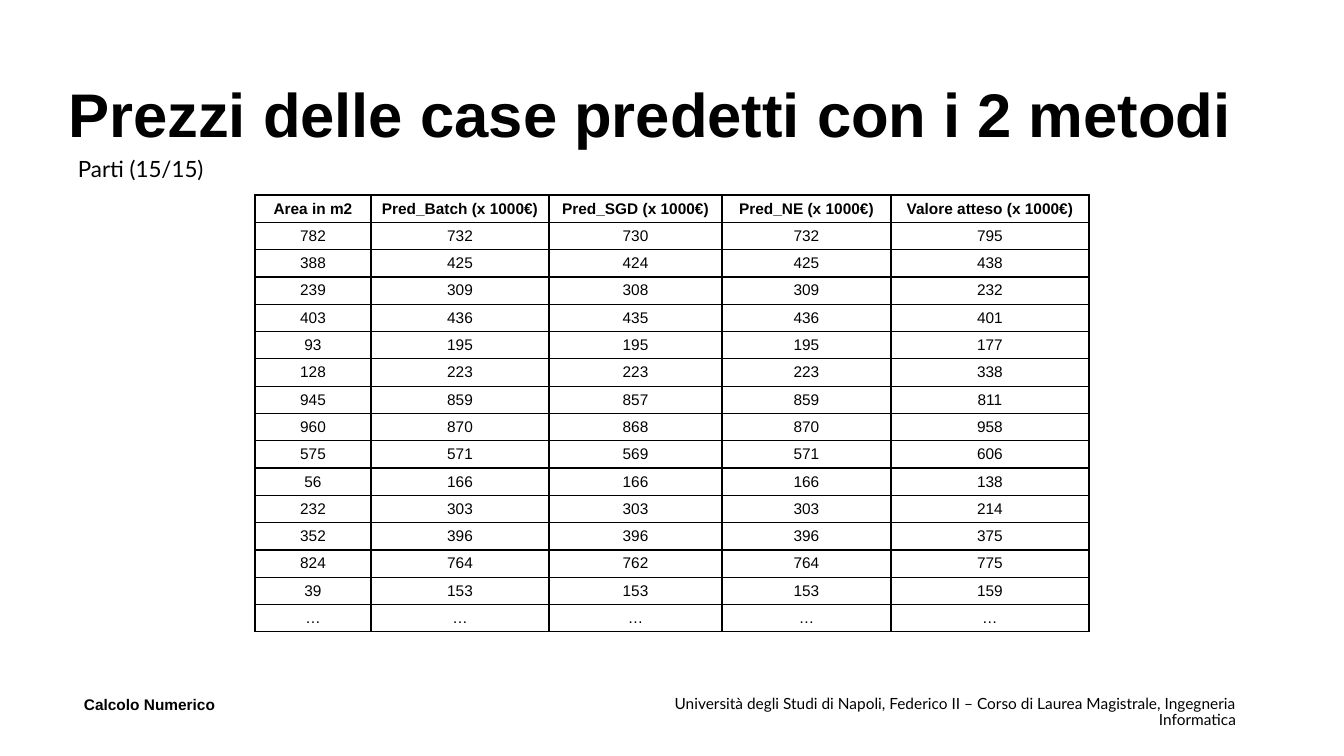
from lxml import etree
from pptx import Presentation
from pptx import util as u
from pptx.dml.color import RGBColor
from pptx.enum import text
from pptx.oxml.ns import qn

SCALE = 9144000 / 1008  # EMU in one px
TITLE_ONLY = 5

HEADERS = ["Area in m2", "Pred_Batch (x 1000€)", "Pred_SGD (x 1000€)",
           "Pred_NE (x 1000€)", "Valore atteso (x 1000€)"]
PRICES = [
    (782, 732, 730, 732, 795),
    (388, 425, 424, 425, 438),
    (239, 309, 308, 309, 232),
    (403, 436, 435, 436, 401),
    (93, 195, 195, 195, 177),
    (128, 223, 223, 223, 338),
    (945, 859, 857, 859, 811),
    (960, 870, 868, 870, 958),
    (575, 571, 569, 571, 606),
    (56, 166, 166, 166, 138),
    (232, 303, 303, 303, 214),
    (352, 396, 396, 396, 375),
    (824, 764, 762, 764, 775),
    (39, 153, 153, 153, 159),
    ("…",) * 5,
]
COLUMN_WIDTHS = [116, 178, 173, 169, 198]


def px(n):
    return u.Emu(round(n * SCALE))


def color(hex_string):
    return RGBColor.from_string(hex_string)


class SlideBuilder:
    ink = "000000"
    heading_font = "Arial"
    body_font = "Lato"

    def __init__(self, prs):
        self.slide = prs.slides.add_slide(prs.slide_layouts[TITLE_ONLY])

    def put_text(self, tf, content, size, font, bold=False, align="LEFT", spacing=None):
        p = tf.paragraphs[0]
        p.alignment = text.PP_ALIGN[align]
        if spacing:
            p.line_spacing = spacing
        r = p.add_run()
        r.text = content
        r.font.size = u.Pt(size)
        r.font.name = font
        r.font.bold = bold
        r.font.color.rgb = color(self.ink)

    def title(self, content, x, y, w, h):
        sp = self.slide.shapes.title
        sp.left, sp.top, sp.width, sp.height = map(px, (x, y, w, h))
        tf = sp.text_frame
        tf.word_wrap = True
        tf.auto_size = text.MSO_AUTO_SIZE.NONE
        tf.vertical_anchor = text.MSO_ANCHOR.MIDDLE
        self.put_text(tf, content, 44, self.heading_font, True, spacing=0.9)

    def text_box(self, content, x, y, w, h, size, font, bold=False, align="LEFT"):
        tf = self.slide.shapes.add_textbox(*map(px, (x, y, w, h))).text_frame
        tf.word_wrap = True
        self.put_text(tf, content, size, font, bold, align, spacing=0.9)

    def border(self, cell):
        tc_pr = cell._tc.get_or_add_tcPr()
        for side in ("lnL", "lnR", "lnT", "lnB"):
            ln = etree.SubElement(tc_pr, qn(f"a:{side}"), w=str(u.Pt(1)))
            fill = etree.SubElement(ln, qn("a:solidFill"))
            etree.SubElement(fill, qn("a:srgbClr"), val=self.ink)

    def table(self, rows, x, y, widths, h):
        """Draw a ruled table whose first row is bold."""
        frame = self.slide.shapes.add_table(
            len(rows), len(widths), px(x), px(y), px(sum(widths)), px(h))
        table = frame.table
        table.first_row = table.horz_banding = False
        for column, width in zip(table.columns, widths):
            column.width = px(width)
        for i, values in enumerate(rows):
            table.rows[i].height = px(h / len(rows))
            for j, value in enumerate(values):
                cell = table.cell(i, j)
                cell.margin_left = cell.margin_right = px(5)
                cell.margin_top = cell.margin_bottom = px(3)
                cell.vertical_anchor = text.MSO_ANCHOR.MIDDLE
                self.border(cell)
                cell.fill.background()
                self.put_text(cell.text_frame, str(value), 11, self.heading_font,
                              bold=i == 0, align="CENTER")


def main():
    prs = Presentation()
    prs.slide_width, prs.slide_height = px(1344), px(756)
    s = SlideBuilder(prs)
    s.title("Prezzi delle case predetti con i 2 metodi", 58, 41, 1187, 154)
    s.text_box("Parti (15/15)", 68, 153, 1106, 119, 16, s.body_font)
    s.text_box("Calcolo Numerico", 74, 692, 300, 40, 11, s.heading_font, bold=True)
    s.text_box("Università degli Studi di Napoli, Federico II – Corso di Laurea "
               "Magistrale, Ingegneria Informatica",
               626, 691, 620, 40, 11, s.body_font, align="RIGHT")
    s.table([HEADERS, *PRICES], 255, 195, COLUMN_WIDTHS, 437)
    prs.save("out.pptx")


if __name__ == "__main__":
    main()
